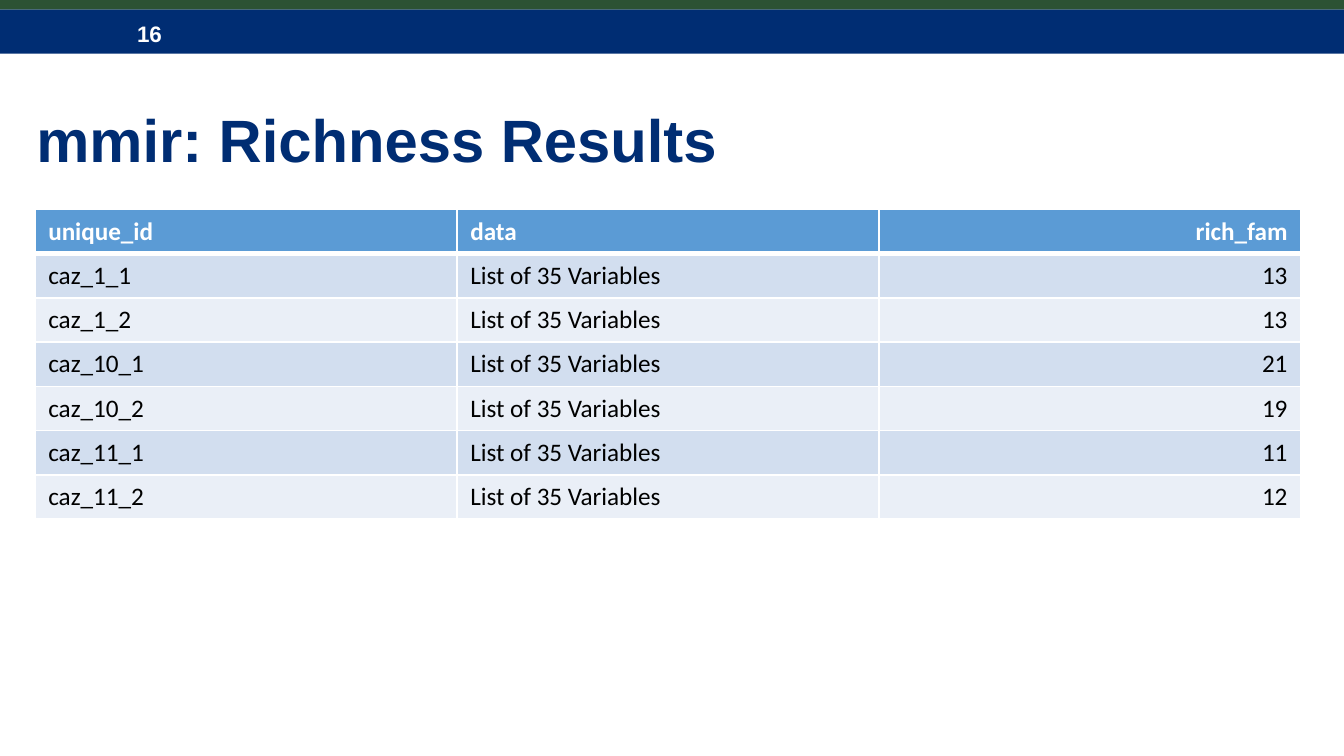
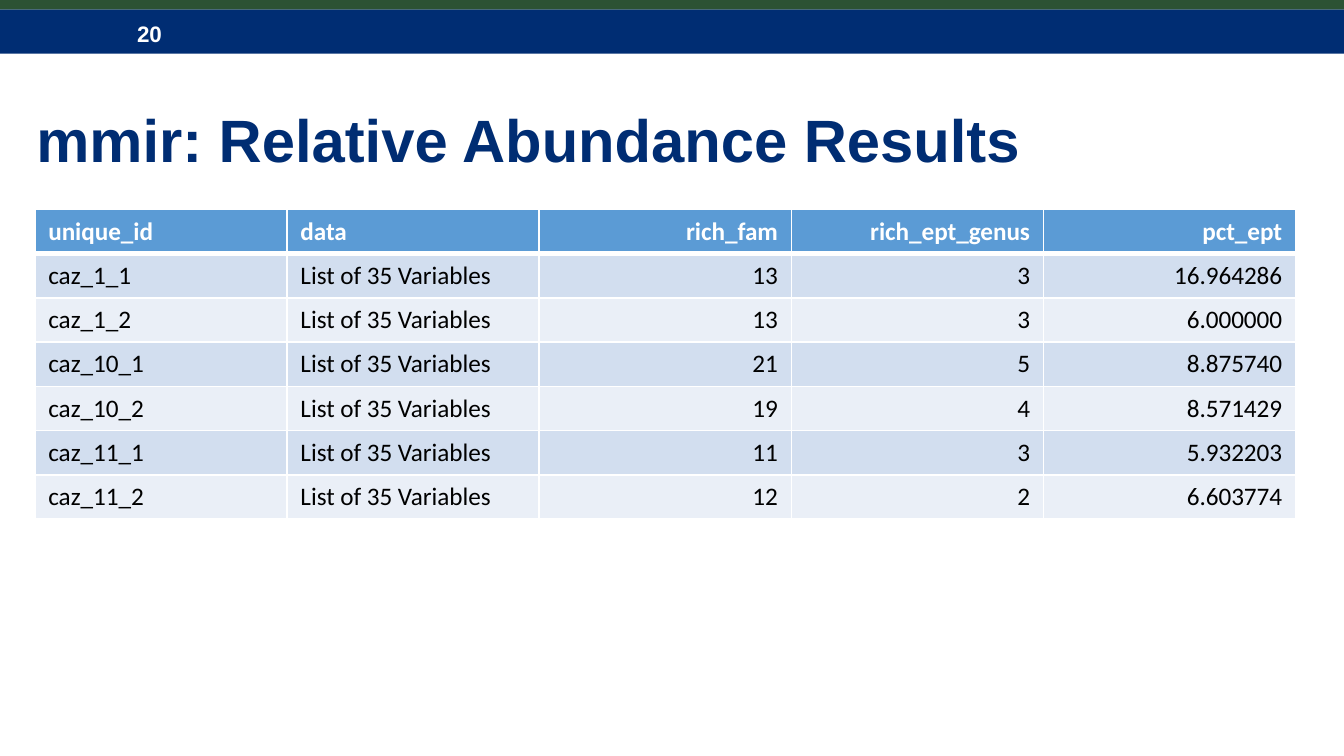
from dataclasses import dataclass

from pptx import Presentation
from pptx.dml.color import RGBColor
from pptx.enum.shapes import MSO_SHAPE
from pptx.enum.text import MSO_ANCHOR, MSO_AUTO_SIZE, PP_ALIGN
from pptx.oxml.xmlchemy import OxmlElement
from pptx.util import Inches, Pt


@dataclass(frozen=True)
class Theme:
    """Colours, fonts and type sizes of the deck."""
    navy: str = "002D73"
    green: str = "2C5234"
    white: str = "FFFFFF"
    black: str = "000000"
    header_fill: str = "5B9BD5"
    odd_fill: str = "D2DEEF"
    even_fill: str = "EAEFF7"
    heading_font: str = "Arial"
    table_font: str = "Calibri"
    title_size: float = 32
    number_size: float = 12
    table_size: float = 13.5
    thin_rule: float = 1
    thick_rule: float = 3


THEME = Theme()
SLIDE_WIDTH = 10
SLIDE_HEIGHT = SLIDE_WIDTH * 9 / 16
TITLE_ONLY_LAYOUT = 5
TEXT_COLUMNS = 2
ROW_HEIGHT = 0.32
RICHNESS_COLUMNS = 3
RESULTS = [
    ("unique_id", "data", "rich_fam", "rich_ept_genus", "pct_ept"),
    ("caz_1_1", "List of 35 Variables", "13", "3", "16.964286"),
    ("caz_1_2", "List of 35 Variables", "13", "3", "6.000000"),
    ("caz_10_1", "List of 35 Variables", "21", "5", "8.875740"),
    ("caz_10_2", "List of 35 Variables", "19", "4", "8.571429"),
    ("caz_11_1", "List of 35 Variables", "11", "3", "5.932203"),
    ("caz_11_2", "List of 35 Variables", "12", "2", "6.603774"),
]


def add_run(paragraph, text, font_name, size, color, bold):
    """Append one formatted run to a paragraph."""
    run = paragraph.add_run()
    run.text = text
    run.font.name = font_name
    run.font.size = Pt(size)
    run.font.bold = bold
    run.font.color.rgb = RGBColor.from_string(color)


def set_insets(frame, left, top, right, bottom):
    """Set the inner margins of a text frame in inches."""
    frame.margin_left, frame.margin_top = Inches(left), Inches(top)
    frame.margin_right, frame.margin_bottom = Inches(right), Inches(bottom)


def add_band(slide, top, height, color):
    """Add a full-width band without outline or shadow."""
    band = slide.shapes.add_shape(
        MSO_SHAPE.RECTANGLE, 0, Inches(top),
        Inches(SLIDE_WIDTH), Inches(height))
    band.shadow.inherit = False
    band.fill.solid()
    band.fill.fore_color.rgb = RGBColor.from_string(color)
    band.line.fill.background()
    return band


def add_header(slide, number):
    """Add the navy band with the slide number and the green strip."""
    frame = add_band(slide, 0.07, 0.33, THEME.navy).text_frame
    set_insets(frame, 1.02, 0.09, 0.3, 0.06)
    frame.vertical_anchor = MSO_ANCHOR.MIDDLE
    paragraph = frame.paragraphs[0]
    paragraph.alignment = PP_ALIGN.LEFT
    add_run(paragraph, str(number), THEME.heading_font, THEME.number_size,
            THEME.white, True)
    add_band(slide, 0, 0.07, THEME.green)


def set_title(slide, text):
    """Place and fill the title placeholder."""
    title = slide.shapes.title
    title.left, title.top = Inches(0.27), Inches(0.56)
    title.width, title.height = Inches(9.42), Inches(1.01)
    frame = title.text_frame
    set_insets(frame, 0, 0, 0, 0)
    frame.word_wrap = True
    frame.auto_size = MSO_AUTO_SIZE.NONE
    frame.vertical_anchor = MSO_ANCHOR.MIDDLE
    paragraph = frame.paragraphs[0]
    paragraph.alignment = PP_ALIGN.LEFT
    paragraph.line_spacing = 0.9
    add_run(paragraph, text, THEME.heading_font, THEME.title_size,
            THEME.navy, True)


def set_border(cell, side, width):
    """Draw a white border on one side of a cell."""
    line = OxmlElement(f"a:ln{side}")
    line.set("w", str(Pt(width)))
    fill = OxmlElement("a:solidFill")
    color = OxmlElement("a:srgbClr")
    color.set("val", THEME.white)
    fill.append(color)
    line.append(fill)
    cell._tc.get_or_add_tcPr().append(line)


def format_cell(cell, text, row_index, column_index):
    """Fill a cell with text, borders and the colour of its row."""
    is_header = row_index == 0
    top = THEME.thick_rule if row_index == 1 else THEME.thin_rule
    bottom = THEME.thick_rule if is_header else THEME.thin_rule
    widths = {"L": THEME.thin_rule, "R": THEME.thin_rule, "T": top, "B": bottom}
    for side, width in widths.items():
        set_border(cell, side, width)
    band_fill = THEME.odd_fill if row_index % 2 else THEME.even_fill
    cell.fill.solid()
    cell.fill.fore_color.rgb = RGBColor.from_string(
        THEME.header_fill if is_header else band_fill)
    paragraph = cell.text_frame.paragraphs[0]
    paragraph.alignment = (
        PP_ALIGN.LEFT if column_index < TEXT_COLUMNS else PP_ALIGN.RIGHT)
    add_run(paragraph, text, THEME.table_font, THEME.table_size,
            THEME.white if is_header else THEME.black, is_header)


def add_results_table(slide, rows, width):
    """Add a table with equal columns and a header row."""
    column_count = len(rows[0])
    table = slide.shapes.add_table(
        len(rows), column_count, Inches(0.26), Inches(1.56),
        Inches(width), Inches(ROW_HEIGHT * len(rows))).table
    table.horz_banding = False
    for column in table.columns:
        column.width = Inches(width / column_count)
    for row_index, values in enumerate(rows):
        table.rows[row_index].height = Inches(ROW_HEIGHT)
        for column_index, text in enumerate(values):
            format_cell(table.cell(row_index, column_index), text,
                        row_index, column_index)


def add_results_slide(presentation, number, title, rows, table_width):
    """Add a slide with the shared header, a title and a results table."""
    layout = presentation.slide_layouts[TITLE_ONLY_LAYOUT]
    slide = presentation.slides.add_slide(layout)
    add_header(slide, number)
    set_title(slide, title)
    add_results_table(slide, rows, table_width)


def main():
    """Build and save the presentation."""
    presentation = Presentation()
    presentation.slide_width = Inches(SLIDE_WIDTH)
    presentation.slide_height = Inches(SLIDE_HEIGHT)
    richness = [row[:RICHNESS_COLUMNS] for row in RESULTS]
    add_results_slide(presentation, 16, "mmir: Richness Results",
                      richness, 9.42)
    add_results_slide(presentation, 20, "mmir: Relative Abundance Results",
                      RESULTS, 9.38)
    presentation.save("out.pptx")


if __name__ == "__main__":
    main()
